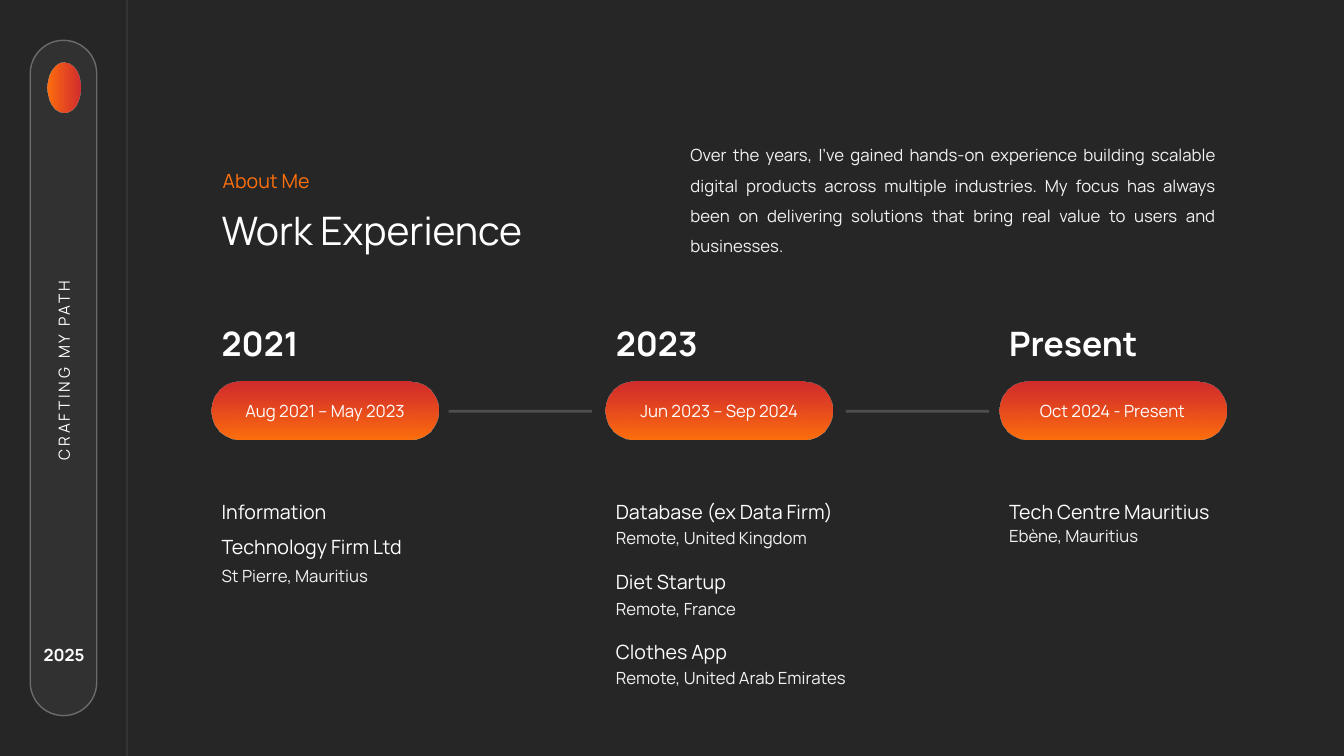
from pptx import Presentation
from pptx.dml.color import RGBColor
from pptx.enum.shapes import MSO_CONNECTOR as Connector, MSO_SHAPE as Preset
from pptx.enum.text import MSO_ANCHOR as Anchor, MSO_AUTO_SIZE as AutoSize, PP_ALIGN as Align
from pptx.oxml.ns import qn
from pptx.util import Inches, Pt
from lxml import etree

FONT = "Manrope"
COLORS = {
    "background": "262626",
    "white": "FFFFFF",
    "soft": "F2F2F2",
    "orange": "FF700D",
    "red": "FE2F2E",
}
INTRO = (
    "Over the years, I’ve gained hands-on experience building scalable digital "
    "products across multiple industries. My focus has always been on delivering "
    "solutions that bring real value to users and businesses."
)
# left edge, heading, dates, employers, [(place, top)]
STAGES = [
    (2.1, "2021", "Aug 2021 – May 2023",
     ["Information Technology Firm Ltd"],
     [("St Pierre, Mauritius", 5.56)]),
    (6.01, "2023", "Jun 2023 – Sep 2024",
     ["Database (ex Data Firm)", "Diet Startup", "Clothes App"],
     [("Remote, United Kingdom", 5.19), ("Remote, France", 5.89),
      ("Remote, United Arab Emirates", 6.58)]),
    (9.91, "Present", "Oct 2024 - Present",
     ["Tech Centre Mauritius"],
     [("Ebène, Mauritius", 5.17)]),
]
PILL_TOP, PILL_WIDTH, PILL_HEIGHT = 3.79, 2.25, 0.57
LINK_Y, LINK_LENGTH, LINK_STARTS = 4.08, 1.42, (4.45, 8.39)


def rgb(name):
    return RGBColor.from_string(COLORS[name])


def set_alpha(parent, name, percent):
    """Make every use of the named colour inside parent translucent."""
    for color in parent.iter(qn("a:srgbClr")):
        if color.get("val") == COLORS[name]:
            alpha = etree.SubElement(color, qn("a:alpha"))
            alpha.set("val", str(percent * 1000))


def add_run(paragraph, text, size, color="white", bold=False):
    run = paragraph.add_run()
    run.text = text
    font = run.font
    font.name, font.size, font.bold = FONT, Pt(size), bold
    font.color.rgb = rgb(color)
    return run


def add_text(slide, box, lines, size, color="white", bold=False, align=Align.LEFT,
             spacing=None, gap=0, wrap=True):
    shape = slide.shapes.add_textbox(*map(Inches, box))
    frame = shape.text_frame
    frame.word_wrap = wrap
    frame.auto_size = AutoSize.SHAPE_TO_FIT_TEXT
    for index, line in enumerate(lines):
        paragraph = frame.add_paragraph() if index else frame.paragraphs[0]
        paragraph.alignment = align
        if spacing:
            paragraph.line_spacing = spacing
        if index and gap:
            paragraph.space_before = Pt(gap)
        add_run(paragraph, line, size, color, bold)
    return shape


def add_line(slide, start, end, width, opacity):
    line = slide.shapes.add_connector(Connector.STRAIGHT, *map(Inches, start + end))
    line.line.width = Pt(width)
    line.line.color.rgb = rgb("soft")
    properties = line._element.spPr
    set_alpha(properties, "soft", opacity)
    etree.SubElement(properties, qn("a:effectLst"))


def add_gradient_shape(slide, preset, box, angle):
    """Add a shape that runs from red to orange along the angle."""
    shape = slide.shapes.add_shape(preset, *map(Inches, box))
    shape.shadow.inherit = False
    shape.line.fill.background()
    shape.fill.gradient()
    shape.fill.gradient_angle = angle
    for stop, name, position in zip(shape.fill.gradient_stops, ("red", "orange"), (0, 1)):
        stop.color.rgb = rgb(name)
        stop.position = position
    set_alpha(shape._element.spPr, "red", 79)
    return shape


def add_date_pill(slide, left, dates):
    pill = add_gradient_shape(slide, Preset.ROUNDED_RECTANGLE,
                              (left, PILL_TOP, PILL_WIDTH, PILL_HEIGHT), 270)
    pill.adjustments[0] = 0.5
    frame = pill.text_frame
    frame.vertical_anchor = Anchor.MIDDLE
    paragraph = frame.paragraphs[0]
    paragraph.alignment = Align.CENTER
    add_run(paragraph, dates, 12)


def add_stage(slide, left, heading, dates, employers, places):
    add_text(slide, (left, 3.15, 2.25, 0.5), [heading], 24, bold=True)
    add_date_pill(slide, left, dates)
    width = 2.25 if left == STAGES[0][0] else 2.5
    add_text(slide, (left, 4.79, width, 0.42), employers, 14, spacing=1.5, gap=25)
    for place, top in places:
        add_text(slide, (left, top, 2.72, 0.3), [place], 12, "soft")


def add_sidebar(slide):
    add_line(slide, (1.26, 0), (1.26, 7.5), 1, 10)

    capsule = slide.shapes.add_shape(Preset.ROUNDED_RECTANGLE,
                                     *map(Inches, (0.3, 0.4, 0.66, 6.7)))
    capsule.shadow.inherit = False
    capsule.adjustments[0] = 0.5
    capsule.fill.solid()
    capsule.fill.fore_color.rgb = rgb("white")
    set_alpha(capsule._element.spPr, "white", 5)
    capsule.line.width = Pt(1)
    capsule.line.color.rgb = rgb("white")
    set_alpha(capsule.line._ln, "white", 30)

    add_gradient_shape(slide, Preset.OVAL, (0.47, 0.62, 0.33, 0.5), 180)
    add_text(slide, (0.33, 6.35, 0.61, 0.3), ["2025"], 12, bold=True,
             align=Align.CENTER, wrap=False)
    motto = add_text(slide, (-0.39, 3.53, 2.05, 0.29), ["CRAFTING MY PATH"], 11,
                     align=Align.CENTER, wrap=False)
    motto.rotation = 270
    motto.text_frame.paragraphs[0].runs[0].font._element.set("spc", "200")


def main():
    presentation = Presentation()
    presentation.slide_width = Inches(13.33)
    presentation.slide_height = Inches(7.5)
    slide = presentation.slides.add_slide(presentation.slide_layouts[6])
    slide.background.fill.solid()
    slide.background.fill.fore_color.rgb = rgb("background")

    add_sidebar(slide)
    add_text(slide, (2.11, 1.63, 2.75, 0.34), ["About Me"], 14, "orange")
    add_text(slide, (2.1, 2, 4.43, 0.57), ["Work Experience"], 28)
    add_text(slide, (6.75, 1.29, 5.41, 1.28), [INTRO], 12, "soft",
             align=Align.JUSTIFY, spacing=1.5)
    for stage in STAGES:
        add_stage(slide, *stage)
    for start in LINK_STARTS:
        add_line(slide, (start, LINK_Y), (start + LINK_LENGTH, LINK_Y), 2, 20)

    presentation.save("out.pptx")


if __name__ == "__main__":
    main()
